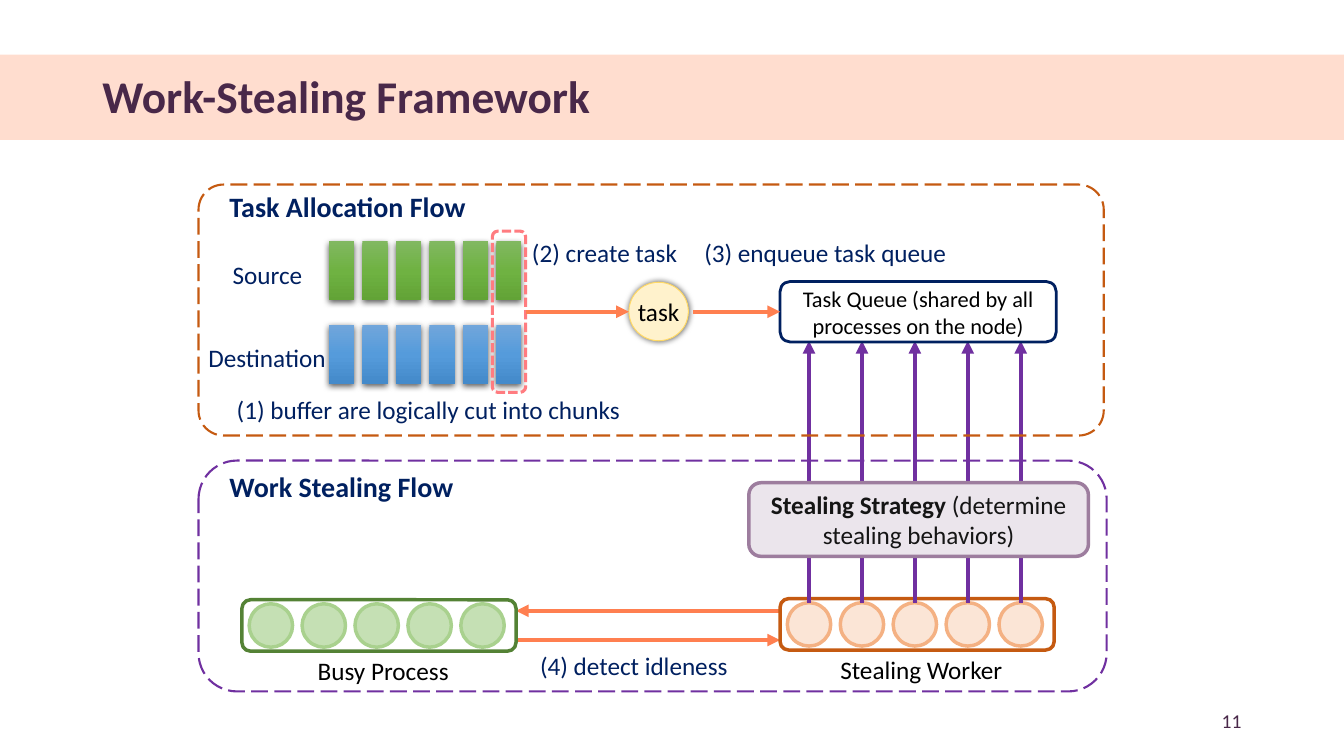
from pptx import Presentation
from pptx.dml.color import RGBColor
from pptx.enum.dml import MSO_LINE
from pptx.enum.shapes import MSO_CONNECTOR, MSO_SHAPE
from pptx.enum.text import MSO_ANCHOR, MSO_AUTO_SIZE, PP_ALIGN
from pptx.oxml.ns import qn
from pptx.oxml.xmlchemy import OxmlElement
from pptx.util import Pt

RECT, ROUND, OVAL = MSO_SHAPE.RECTANGLE, MSO_SHAPE.ROUNDED_RECTANGLE, MSO_SHAPE.OVAL
LEFT, CENTER, RIGHT = PP_ALIGN.LEFT, PP_ALIGN.CENTER, PP_ALIGN.RIGHT
TOP, MIDDLE = MSO_ANCHOR.TOP, MSO_ANCHOR.MIDDLE
LONG_DASH, SHORT_DASH = MSO_LINE.LONG_DASH, MSO_LINE.SQUARE_DOT
STRAIGHT = MSO_CONNECTOR.STRAIGHT
FONT = "Calibri"
COLORS = {
    "band": "FFDDCF", "title": "492849", "navy": "002060", "black": "000000",
    "white": "FFFFFF", "coral": "FF7F50", "purple": "7030A0", "rust": "C55A11",
    "pink": "FF7C80", "cream": "FFF2CC", "gold": "FFD966", "ink": "151515",
    "mauve": "9D7D9E", "lilac": "EBE5EC", "forest": "548235",
    "busy": "C5E0B4", "busy_line": "A9D18E", "worker": "FBE5D6", "worker_line": "F4B183",
}
SOURCE_GRADIENT = ("81B861", "6FB242", "62A336")
DESTINATION_GRADIENT = ("71A6DB", "559BDB", "448ACA")


def rgb(name):
    """Return the named palette colour."""
    return RGBColor.from_string(COLORS[name])


def add_xml(parent, tag, **attrs):
    """Append a child element with attributes and return it."""
    el = OxmlElement(tag)
    for key, value in attrs.items():
        el.set(key, str(value))
    parent.append(el)
    return el


def write_text(sp, *runs, size=18, color="navy", bold=False, align=LEFT, anchor=TOP):
    """Write runs, each a string or a (string, bold) pair, as one paragraph."""
    tf = sp.text_frame
    tf.word_wrap = True
    tf.auto_size = MSO_AUTO_SIZE.NONE
    tf.vertical_anchor = anchor
    p = tf.paragraphs[0]
    p.alignment = align
    for run in runs:
        text, heavy = (run, bold) if isinstance(run, str) else run
        r = p.add_run()
        r.text = text
        r.font.name, r.font.size, r.font.bold = FONT, Pt(size), heavy
        r.font.color.rgb = rgb(color)
    return p


def add_label(s, x, y, w, h, text, **fmt):
    """Add a text box."""
    write_text(s.shapes.add_textbox(Pt(x), Pt(y), Pt(w), Pt(h)), text, **fmt)


def add_box(s, kind, x, y, w, h, fill=None, line=None, width=2.5, dash=None):
    """Add a preset shape with plain fill and outline."""
    sp = s.shapes.add_shape(kind, Pt(x), Pt(y), Pt(w), Pt(h))
    sp.shadow.inherit = False
    if fill:
        sp.fill.solid()
        sp.fill.fore_color.rgb = rgb(fill)
    else:
        sp.fill.background()
    if line:
        sp.line.color.rgb = rgb(line)
        sp.line.width = Pt(width)
        if dash:
            sp.line.dash_style = dash
    else:
        sp.line.fill.background()
    return sp


def add_shadow(sp, distance):
    """Give a shape a soft shadow cast downwards."""
    effects = sp.element.spPr.find(qn("a:effectLst"))
    shadow = add_xml(effects, "a:outerShdw", blurRad=Pt(4.5), dist=Pt(distance),
                     dir=5400000, algn="ctr", rotWithShape=0)
    add_xml(add_xml(shadow, "a:srgbClr", val=COLORS["black"]), "a:alpha", val=63000)


def add_arrow(s, x1, y1, x2, y2, color="coral"):
    """Add a straight arrow pointing at its second end."""
    c = s.shapes.add_connector(STRAIGHT, Pt(x1), Pt(y1), Pt(x2), Pt(y2))
    c.line.color.rgb = rgb(color)
    c.line.width = Pt(3)
    add_xml(c.line._get_or_add_ln(), "a:tailEnd", type="triangle")
    add_xml(c.element.spPr, "a:effectLst")
    return c


def add_chunks(s, x, y, stops):
    """Add a row of six shaded buffer chunks."""
    for i in range(6):
        sp = add_box(s, RECT, x + i * 23.9, y, 18, 42)
        sp.fill.gradient()
        sp.fill.gradient_angle = 270
        gs_list = sp.element.spPr.find(".//" + qn("a:gsLst"))
        for gs in list(gs_list):
            gs_list.remove(gs)
        for pos, stop in zip((0, 50000, 100000), stops):
            add_xml(add_xml(gs_list, "a:gs", pos=pos), "a:srgbClr", val=stop)
        add_shadow(sp, 1.5)


def add_process(s, x, y, name, line, fill, ring):
    """Add a process box with five threads and its name, and return the threads."""
    threads = [add_box(s, OVAL, x + 5.2 + i * 37.8, y + 2.9, 31, 31, fill, ring)
               for i in range(5)]
    add_box(s, ROUND, x, y, 195.8, 36.7, line=line)
    add_label(s, x + 3, y + 36.3, 195.8, 29, name, color="black", align=CENTER)
    return threads


def add_title(s, x, y, w, h):
    """Place the title on its coloured band."""
    band = add_box(s, RECT, x, y, w, h, "band")
    s.shapes.element.insert(2, band.element)
    sp = s.shapes.title
    sp.left, sp.top, sp.width, sp.height = Pt(x + 66), Pt(y + 13), Pt(828), Pt(37.4)
    p = write_text(sp, "Work-Stealing Framework", size=32.4, color="title",
                   bold=True, anchor=MIDDLE)
    p.line_spacing = 0.9


def add_stealing_flow(s, x, y, w, h, queue_bottom):
    """Draw the work stealing region with arrows up to the task queue."""
    left, right = x + 226.8, x + 415.4
    add_arrow(s, left, y + 128.2, right, y + 128.2)
    add_arrow(s, right, y + 107.3, left, y + 107.3)
    threads = add_process(s, right, y + 98.6, "Stealing Worker", "rust", "worker", "worker_line")
    add_process(s, x + 31, y + 99.4, "Busy Process", "forest", "busy", "busy_line")
    for thread in threads:
        middle = (thread.left + thread.width / 2) / Pt(1)
        c = add_arrow(s, middle, y + 101.5, middle, queue_bottom, "purple")
        c.begin_connect(thread, 0)
    add_box(s, ROUND, x, y, w, h, line="purple", width=1.5, dash=LONG_DASH)
    sp = add_box(s, ROUND, x + 393.1, y + 15.8, 242.6, 52.6, "lilac", "mauve")
    write_text(sp, ("Stealing Strategy ", True), "(determine stealing behaviors)",
               color="ink", align=CENTER, anchor=MIDDLE)
    add_label(s, x + 15, y + 2.9, 181, 32, "Work Stealing Flow", size=20, bold=True)
    add_label(s, x + 236.9, y + 131.8, 166, 29, "(4) detect idleness")


def add_allocation_flow(s, x, y, w, h):
    """Draw the task allocation region."""
    frame = add_box(s, ROUND, x, y, w, h, line="rust", width=1.5, dash=LONG_DASH)
    frame.adjustments[0] = 0.1
    add_label(s, x + 15, y, 196, 32, "Task Allocation Flow", size=20, bold=True)
    add_chunks(s, x + 93.2, y + 40.7, SOURCE_GRADIENT)
    add_chunks(s, x + 93.2, y + 100.4, DESTINATION_GRADIENT)
    chosen = add_box(s, ROUND, x + 209.9, y + 33.3, 23.8, 115.2, line="pink",
                     width=2.25, dash=SHORT_DASH)
    for dx, dy, width, text in (
            (17.3, 49.7, 66, "Source"),
            (0, 109.4, 102, "Destination"),
            (20.2, 146.2, 289, "(1) buffer are logically cut into chunks"),
            (231.1, 33.8, 120, "(2) create task"),
            (354.2, 34.2, 202, "(3) enqueue task queue")):
        add_label(s, x + dx, y + dy, width, 29, text)
    task = add_box(s, OVAL, x + 307.4, y + 69.8, 42.5, 41.8, "cream", "gold", 0.75)
    add_shadow(task, 0.1)
    write_text(task, "task", color="black", align=CENTER, anchor=MIDDLE)
    task.text_frame.margin_left = task.text_frame.margin_right = 0
    queue = add_box(s, ROUND, x + 415.4, y + 69.3, 197.3, 43.2, "white", "navy", 2)
    write_text(queue, "Task Queue (shared by all processes on the node)", size=16,
               color="black", align=CENTER, anchor=MIDDLE)
    axis = y + 90.9
    add_arrow(s, x + 233.7, axis, x + 307.4, axis).begin_connect(chosen, 3)
    add_arrow(s, x + 353.5, axis, x + 415.4, axis).end_connect(queue, 1)


def main():
    """Build and save the slide."""
    prs = Presentation()
    prs.slide_width, prs.slide_height = Pt(960), Pt(540)
    s = prs.slides.add_slide(prs.slide_layouts[5])
    add_title(s, 0, 39, 960, 61)
    add_stealing_flow(s, 141.8, 329, 648.7, 164.9, queue_bottom=243.5)
    add_allocation_flow(s, 141.8, 131.8, 646.6, 179.3)
    add_label(s, 678, 500.4, 216, 29, "11", size=14, color="title", align=RIGHT, anchor=MIDDLE)
    prs.save("out.pptx")


if __name__ == "__main__":
    main()
